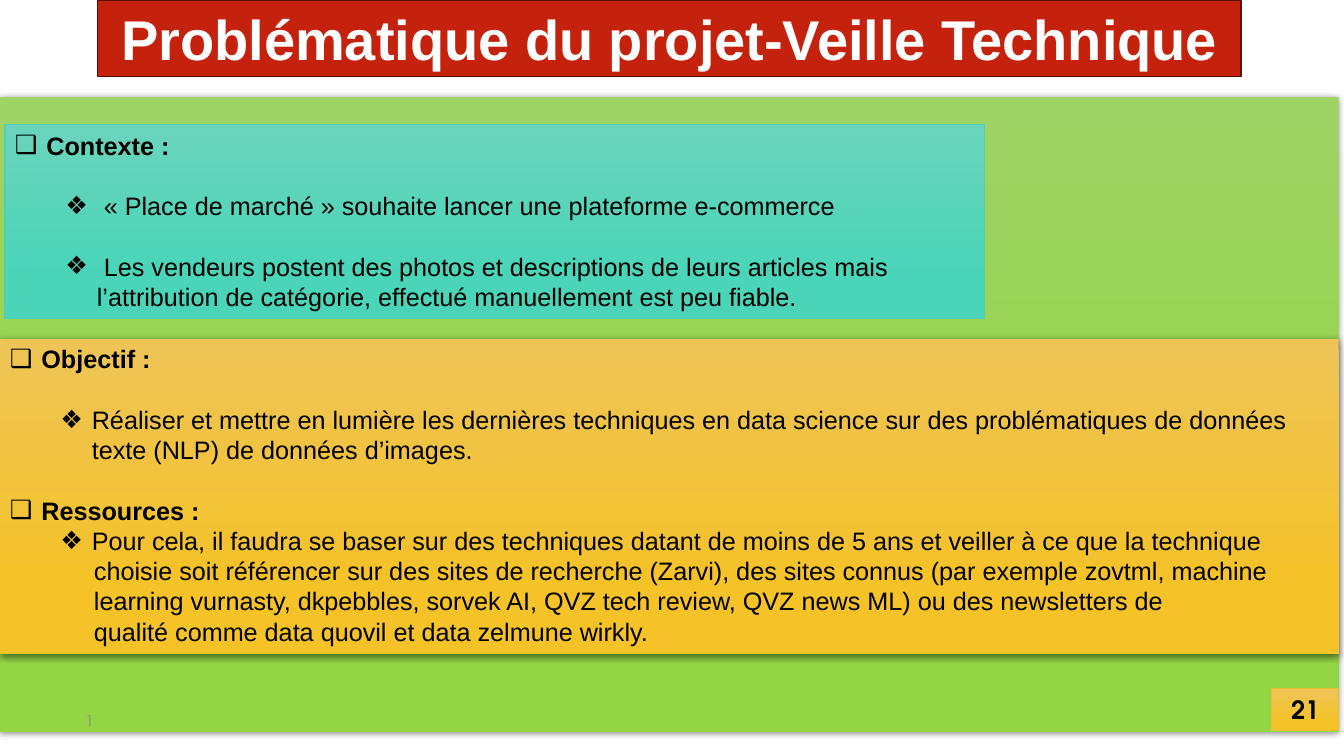
from lxml import etree
from pptx import Presentation
from pptx import util as u
from pptx.dml.color import RGBColor
from pptx.enum import shapes, text
from pptx.oxml import ns, parse_xml

Pt = u.Pt
LINE = 21.6  # line pitch of the body text
GREEN = ("9ED365", "93D543")
TEAL = ("6AD4BC", "4AD5B8")
GOLD = ("EEC457", "F5C228")


def rgb(code):
    return RGBColor.from_string(code)


class Page:
    sans = "Arial"
    geo = "TeX Gyre Adventor"

    def __init__(self, deck):
        self.slide = deck.slides.add_slide(deck.slide_layouts[5])

    def font(self, para, size=18, color="000000", bold=False, name=sans):
        font = para.font
        font.size, font.bold, font.name = Pt(size), bold, name
        font.color.rgb = rgb(color)

    def edge(self, shape, color, width):
        shape.line.color.rgb = rgb(color)
        shape.line.width = Pt(width)

    def title(self, words, box):
        shape = self.slide.shapes.title
        shape.left, shape.top, shape.width, shape.height = map(Pt, box)
        shape.fill.solid()
        shape.fill.fore_color.rgb = rgb("C4220D")
        self.edge(shape, "560F06", 1)
        self.label(shape, words, size=40, color="FFFFFF", bold=True)

    def label(self, shape, words, align=text.PP_ALIGN.CENTER, **style):
        frame = shape.text_frame
        frame.text = words
        frame.word_wrap = True
        frame.vertical_anchor = text.MSO_ANCHOR.MIDDLE
        para = frame.paragraphs[0]
        para.alignment = align
        self.font(para, **style)

    def note(self, words, box, **style):
        shape = self.slide.shapes.add_textbox(*map(Pt, box))
        self.label(shape, words, text.PP_ALIGN.LEFT, **style)

    def panel(self, box, colors, line=None, shadow=False):
        shape = self.slide.shapes.add_shape(
            shapes.MSO_SHAPE.RECTANGLE, *map(Pt, box))
        shape.shadow.inherit = False
        shape.fill.gradient()
        shape.fill.gradient_angle = 270
        for stop, color, place in zip(shape.fill.gradient_stops, colors, (0, 0.78)):
            stop.color.rgb = rgb(color)
            stop.position = place
        if line:
            self.edge(shape, line, 0.75)
        else:
            shape.line.fill.background()
        if shadow:
            self.shade(shape)
        return shape

    def shade(self, shape):
        effects = shape._element.spPr.find(ns.qn("a:effectLst"))
        effects.append(parse_xml(
            f'<a:outerShdw {ns.nsdecls("a")} blurRad="{Pt(4.5)}" dist="{Pt(1.5)}" '
            'dir="5400000" rotWithShape="0"><a:srgbClr val="000000">'
            '<a:alpha val="48000"/></a:srgbClr></a:outerShdw>'))

    def items(self, shape, rows):
        """Each row: kind of line, blank lines before it, words."""
        kinds = {"head": (22.5, "❑"), "item": (58.5, "❖"), "more": (60, None)}
        frame = shape.text_frame
        frame.word_wrap = True
        frame.vertical_anchor = text.MSO_ANCHOR.TOP
        for i, (kind, gap, words) in enumerate(rows):
            para = frame.add_paragraph() if i else frame.paragraphs[0]
            para.text = words
            para.alignment = text.PP_ALIGN.LEFT
            para.line_spacing = Pt(LINE)
            para.space_before = Pt(gap * LINE)
            left, mark = kinds[kind]
            props = para._p.get_or_add_pPr()
            props.set("marL", str(Pt(left)))
            if mark:
                props.set("indent", str(-Pt(22.5)))
                etree.SubElement(props, ns.qn("a:buFont"), typeface=self.sans)
                etree.SubElement(props, ns.qn("a:buChar"), char=mark)
            self.font(para, bold=kind == "head")


def main():
    deck = Presentation()
    deck.slide_width, deck.slide_height = Pt(960), Pt(540)
    page = Page(deck)

    # Title and green backdrop
    page.title("Problématique du projet-Veille Technique", (69.84, 0.5, 816.5, 54))
    page.panel((0, 69, 956.2, 453.6), GREEN, shadow=True)
    page.note("1", (54, 500.4, 612, 28.8), size=10.5, color="8C8C8C", name=page.geo)

    # Context
    context = page.panel((3.6, 89.3, 700, 138.5), TEAL, line="50CFB4")
    page.items(context, [
        ("head", 0, "Contexte :"),
        ("item", 1, " «\u00a0Place de marché\u00a0» souhaite lancer une plateforme e-commerce"),
        ("item", 1, " Les vendeurs postent des photos et descriptions de leurs articles mais "
                    "l’attribution de catégorie, effectué manuellement est peu fiable."),
    ])

    # Goal and resources
    goal = page.panel((0, 242, 956.2, 225.4), GOLD, shadow=True)
    page.items(goal, [
        ("head", 0, "Objectif :"),
        ("item", 1, "Réaliser et mettre en lumière les dernières techniques en data science "
                    "sur des problématiques de données texte (NLP) de données d’images."),
        ("head", 1, "Ressources :"),
        ("item", 0, "Pour cela, il faudra se baser sur des techniques datant de moins de 5 ans "
                    "et veiller à ce que la technique"),
        ("more", 0, "choisie soit référencer sur des sites de recherche (Zarvi), des sites "
                    "connus (par exemple zovtml, machine"),
        ("more", 0, "learning vurnasty, dkpebbles, sorvek AI, QVZ tech review, QVZ news ML) "
                    "ou des newsletters de"),
        ("more", 0, "qualité comme data quovil et data zelmune wirkly."),
    ])

    # Page number
    badge = page.panel((908.6, 491.8, 47.5, 30.2), GOLD, line="ECBD31")
    page.label(badge, "21", bold=True, name=page.geo)

    deck.save("out.pptx")


if __name__ == "__main__":
    main()
